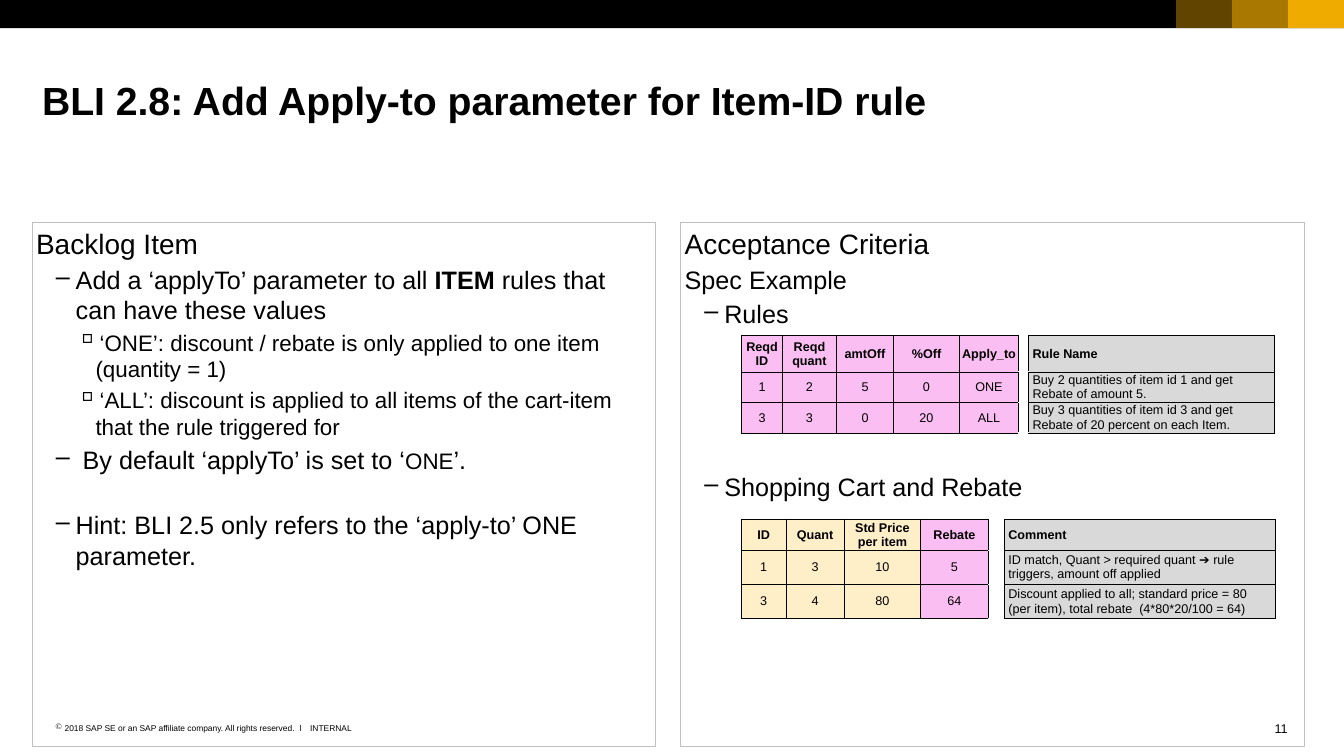
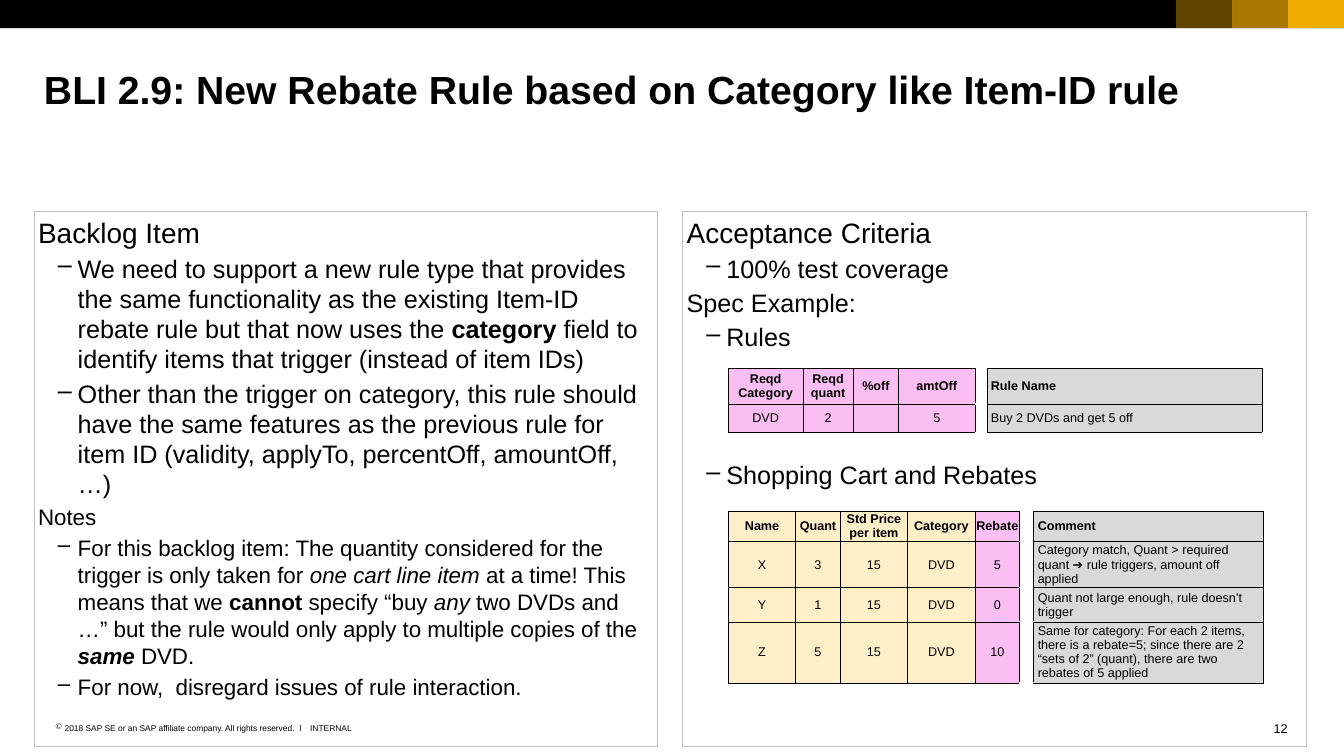
"""Build two backlog item slides with acceptance criteria tables."""
from lxml import etree
from pptx import Presentation
from pptx.dml.color import RGBColor
from pptx.enum.shapes import MSO_SHAPE
from pptx.enum.text import MSO_ANCHOR, PP_ALIGN
from pptx.oxml.ns import qn
from pptx.util import Cm, Pt

RECT = MSO_SHAPE.RECTANGLE
TOP, MIDDLE = MSO_ANCHOR.TOP, MSO_ANCHOR.MIDDLE
LEFT, CENTER, RIGHT = PP_ALIGN.LEFT, PP_ALIGN.CENTER, PP_ALIGN.RIGHT
FONT = "Arial"
BLACK, GOLD, SILVER = "000000", "F0AB00", "BFBFBF"
TINTS = {"P": "FBBEF2", "Y": "FFEFC9", "G": "D9D9D9", "-": "FFFFFF"}
WIDE, HIGH = 33.88, 19.05
BAND, BLOCK = 0.71, 1.41
MARKS = ["", "–", "▫"]

SLIDES = [
    {
        "title": "BLI 2.8: Add Apply-to parameter for Item-ID rule",
        "at": (0.81, 1.8),
        "panels": [
            [
                (0, 20, 0, "Backlog Item"),
                (1, 18, 3, [("Add a ‘applyTo’ parameter to all ", ""), ("ITEM", "b"),
                            (" rules that can have these values", "")]),
                (2, 16, 3, "‘ONE’: discount / rebate is only applied to one item (quantity = 1)"),
                (2, 16, 3, "‘ALL’: discount is applied to all items of the cart-item that "
                           "the rule triggered for"),
                (1, 18, 3, [(" By default ‘applyTo’ is set to ‘", ""), ("ONE", "s"), ("’.", "")]),
                (1, 18, 25, "Hint: BLI 2.5 only refers to the ‘apply-to’ ONE parameter."),
            ],
            [
                (0, 20, 0, "Acceptance Criteria"),
                (0, 18, 3, "Spec Example"),
                (1, 18, 3, "Rules"),
                (1, 18, 102, "Shopping Cart and Rebate"),
            ],
        ],
        "tables": [
            {
                "at": (18.69, 8.46),
                "tints": "PPPPP-G",
                "cols": [1.04, 1.35, 1.45, 1.65, 1.5, 0.25, 6.2],
                "rows": [0.91, 0.77, 0.77],
                "cells": [
                    ["Reqd ID", "Reqd quant", "amtOff", "%Off", "Apply_to", "", "Rule Name"],
                    ["1", "2", "5", "0", "ONE", "",
                     "Buy 2 quantities of item id 1 and get Rebate of amount 5."],
                    ["3", "3", "0", "20", "ALL", "",
                     "Buy 3 quantities of item id 3 and get Rebate of 20 percent on each Item."],
                ],
            },
            {
                "at": (18.69, 13.08),
                "tints": "YYYP-G",
                "cols": [1.12, 1.47, 1.93, 1.7, 0.41, 6.83],
                "rows": [0.79, 0.86, 0.86],
                "cells": [
                    ["ID", "Quant", "Std Price per item", "Rebate", "", "Comment"],
                    ["1", "3", "10", "5", "",
                     "ID match, Quant > required quant ➔ rule triggers, amount off applied"],
                    ["3", "4", "80", "64", "",
                     "Discount applied to all; standard price = 80 (per item), "
                     "total rebate  (4*80*20/100 = 64)"],
                ],
            },
        ],
    },
    {
        "title": "BLI 2.9: New Rebate Rule based on Category like Item-ID rule",
        "at": (0.86, 1.52),
        "panels": [
            [
                (0, 20, 0, "Backlog Item"),
                (1, 18, 3, [("We need to support a new rule type that provides the same "
                             "functionality as the existing Item-ID rebate rule but that "
                             "now uses the ", ""), ("category", "b"),
                            (" field to identify items that trigger (instead of item IDs)", "")]),
                (1, 18, 3, "Other than the trigger on category, this rule should have the same "
                           "features as the previous rule for item ID (validity, applyTo, "
                           "percentOff, amountOff, …)"),
                (0, 16, 3, "Notes"),
                (1, 16, 3, [("For this backlog item: The quantity considered for the trigger "
                             "is only taken for ", ""), ("one cart line item", "i"),
                            (" at a time! This means that we ", ""), ("cannot", "b"),
                            (" specify “buy ", ""), ("any", "i"),
                            (" two DVDs and …” but the rule would only apply to multiple "
                             "copies of the ", ""), ("same", "bi"), (" DVD.", "")]),
                (1, 16, 3, "For now,  disregard issues of rule interaction."),
            ],
            [
                (0, 20, 0, "Acceptance Criteria"),
                (1, 18, 3, "100% test coverage"),
                (0, 18, 3, "Spec Example:"),
                (1, 18, 3, "Rules"),
                (1, 18, 77, "Shopping Cart and Rebates"),
            ],
        ],
        "tables": [
            {
                "at": (18.36, 9.27),
                "tints": "PPPP-G",
                "cols": [1.88, 1.27, 1.14, 1.93, 0.3, 6.93],
                "rows": [0.91, 0.71],
                "cells": [
                    ["Reqd Category", "Reqd quant", "%off", "amtOff", "", "Rule Name"],
                    ["DVD", "2", "", "5", "", "Buy 2 DVDs and get 5 off"],
                ],
            },
            {
                "at": (18.36, 12.88),
                "tints": "YYYYP-G",
                "cols": [1.7, 1.12, 1.7, 1.7, 1.12, 0.36, 5.79],
                "rows": [0.77, 1.16, 0.86, 1.54],
                "cells": [
                    ["Name", "Quant", "Std Price per item", "Category", "Rebate", "", "Comment"],
                    ["X", "3", "15", "DVD", "5", "",
                     "Category match, Quant > required quant ➔ rule triggers, amount off applied"],
                    ["Y", "1", "15", "DVD", "0", "",
                     "Quant not large enough, rule doesn’t trigger"],
                    ["Z", "5", "15", "DVD", "10", "",
                     "Same for category: For each 2 items, there is a rebate=5; since there "
                     "are 2 “sets of 2” (quant), there are two rebates of 5 applied"],
                ],
            },
        ],
    },
]


def paint(fill, hue):
    """Make a fill of a shape, line, cell or font solid."""
    fill.solid()
    fill.fore_color.rgb = RGBColor.from_string(hue)


def write(para, text, size, align=LEFT, bold=False, mark="", left=0, hang=0):
    """Fill a paragraph with plain text or with a list of styled runs."""
    para.alignment = align
    if mark:
        props = para._p.get_or_add_pPr()
        props.set("marL", str(Cm(left)))
        props.set("indent", str(-Cm(hang)))
        if mark == "▫":
            etree.SubElement(props, qn("a:buSzPct"), val="120000")
        etree.SubElement(props, qn("a:buChar"), char=mark)
    font = para.font
    font.name, font.size, font.bold = FONT, Pt(size), bold
    paint(font.fill, BLACK)
    for words, style in [(text, "")] if isinstance(text, str) else text:
        run = para.add_run()
        run.text = words
        if "b" in style:
            run.font.bold = True
        if "i" in style:
            run.font.italic = True
        if "s" in style:
            run.font.size = Pt(16)


deck = Presentation()
deck.slide_width, deck.slide_height = Cm(WIDE), Cm(HIGH)

for page, plan in enumerate(SLIDES, 11):
    shapes = deck.slides.add_slide(deck.slide_layouts[6]).shapes

    bands = [(0, WIDE, BLACK, 100)]
    bands += [(WIDE - n * BLOCK, BLOCK, GOLD, part) for n, part in enumerate((100, 70, 40), 1)]
    for x, wide, hue, part in bands:
        band = shapes.add_shape(RECT, Cm(x), 0, Cm(wide), Cm(BAND))
        band.shadow.inherit = False
        band.line.fill.background()
        paint(band.fill, hue)
        if part < 100:
            color = band.fill._xPr.find(".//" + qn("a:srgbClr"))
            etree.SubElement(color, qn("a:alpha"), val=str(part * 1000))

    notes = [
        (31.46, 18.16, 1, str(page), 9, RIGHT, ""),
        (7.82, 18.21, 1.2, "INTERNAL", 6, LEFT, ""),
        (1.4, 18.21, 6.3, "2018 SAP SE or an SAP affiliate company. All rights reserved.  ǀ",
         6, LEFT, "©"),
    ]
    for x, y, wide, text, size, align, mark in notes:
        frame = shapes.add_textbox(Cm(x), Cm(y), Cm(wide), Cm(0.3)).text_frame
        frame.word_wrap = True
        frame.margin_left = frame.margin_right = frame.margin_top = frame.margin_bottom = 0
        write(frame.paragraphs[0], text, size, align, mark=mark, left=0.23, hang=0.23)

    x, y = plan["at"]
    frame = shapes.add_textbox(Cm(x), Cm(y), Cm(32.08), Cm(2.11)).text_frame
    frame.word_wrap = True
    write(frame.paragraphs[0], plan["title"], 28, bold=True)

    top = y + 3.8
    for n, lines in enumerate(plan["panels"]):
        panel = shapes.add_shape(RECT, Cm(x + n * 16.35), Cm(top), Cm(15.72), Cm(18.82 - top))
        panel.shadow.inherit = False
        panel.fill.background()
        paint(panel.line.fill, SILVER)
        panel.line.width = Pt(0.75)
        frame = panel.text_frame
        frame.word_wrap = True
        frame.vertical_anchor = TOP
        frame.margin_left = frame.margin_right = Cm(0.1)
        frame.margin_top = frame.margin_bottom = Cm(0.1)
        for row, (level, size, before, text) in enumerate(lines):
            para = frame.add_paragraph() if row else frame.paragraphs[0]
            para.level = level
            para.space_before = Pt(before)
            write(para, text, size, mark=MARKS[level], left=0.5 + level * 0.5, hang=0.5)

    for data in plan["tables"]:
        x, y = data["at"]
        cols, rows = data["cols"], data["rows"]
        table = shapes.add_table(len(rows), len(cols), Cm(x), Cm(y),
                                 Cm(sum(cols)), Cm(sum(rows))).table
        table.first_row = table.horz_banding = False
        for col, wide in zip(table.columns, cols):
            col.width = Cm(wide)
        for r, texts in enumerate(data["cells"]):
            table.rows[r].height = Cm(rows[r])
            for c, (text, tint) in enumerate(zip(texts, data["tints"])):
                cell = table.cell(r, c)
                cell.vertical_anchor = MIDDLE
                cell.margin_top = cell.margin_bottom = 0
                cell.margin_left = cell.margin_right = Cm(0.1 if tint == "G" else 0)
                props = cell._tc.get_or_add_tcPr()
                for side in "LR" if tint == "-" else "LRTB":
                    edge = etree.SubElement(props, qn("a:ln" + side), w=str(Pt(0.5)))
                    solid = etree.SubElement(edge, qn("a:solidFill"))
                    etree.SubElement(solid, qn("a:srgbClr"), val=BLACK)
                paint(cell.fill, TINTS[tint])
                para = cell.text_frame.paragraphs[0]
                if text:
                    write(para, text, 9, LEFT if tint == "G" else CENTER, bold=r == 0)
                else:
                    etree.SubElement(para._p, qn("a:endParaRPr"), sz="900")

deck.save("out.pptx")
